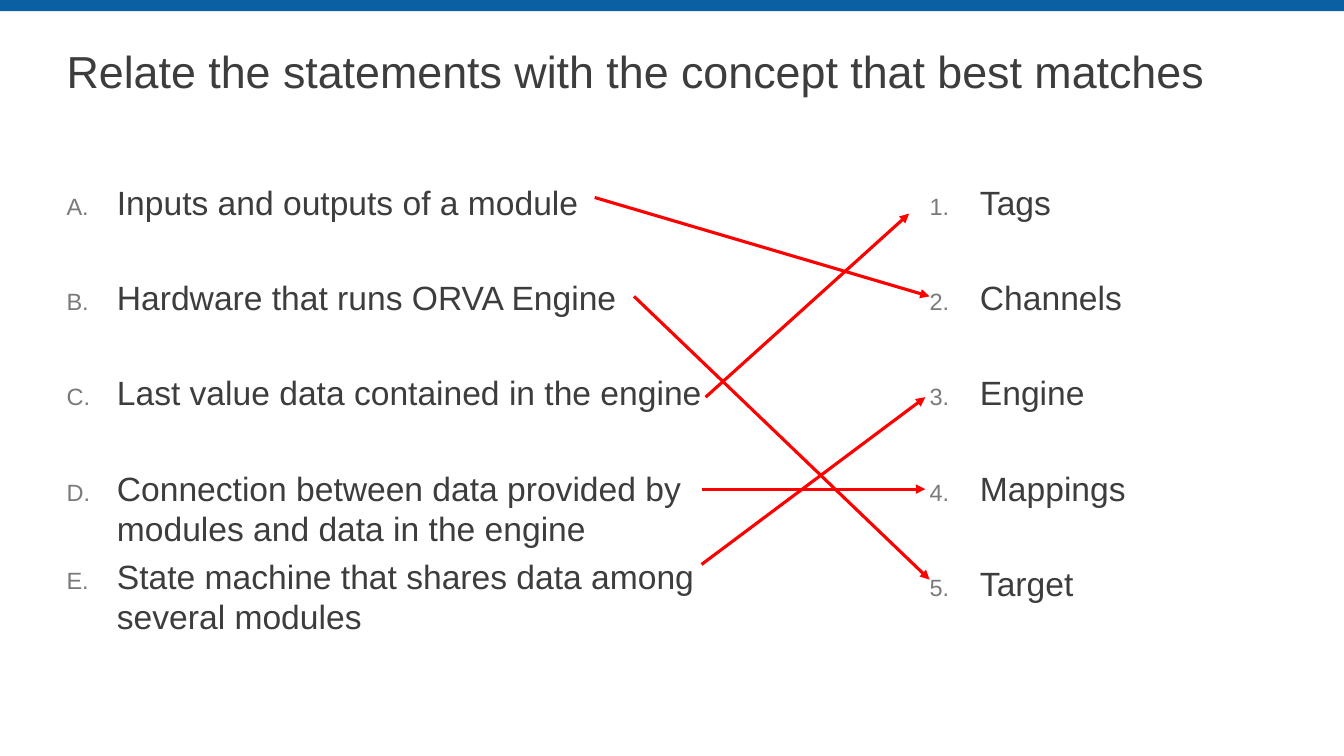
from dataclasses import dataclass

import pptx
import pptx.dml.color
import pptx.enum.shapes
import pptx.enum.text
import pptx.oxml.ns
import pptx.presentation
import pptx.slide
import pptx.text.text
import pptx.util
from lxml import etree

Pt = pptx.util.Pt
RGB = pptx.dml.color.RGBColor
Anchor = pptx.enum.text.MSO_ANCHOR


@dataclass(frozen=True)
class Theme:
    font: str = "Arial"
    ink: RGB = RGB(0x3D, 0x3D, 0x3D)
    mark: RGB = RGB(0x7A, 0x7A, 0x7A)
    bar: RGB = RGB(0x0A, 0x60, 0xA3)
    arrow: RGB = RGB(0xFF, 0x00, 0x00)
    title: float = 32
    body: float = 24
    tight: float = 5.3
    loose: float = 39.3
    leading: float = 1.0


@dataclass(frozen=True)
class Box:
    left: float
    top: float
    width: float
    height: float


@dataclass(frozen=True)
class Item:
    text: str
    gap: float


@dataclass(frozen=True)
class Column:
    slot: int
    box: Box
    scheme: str
    items: list[Item]


@dataclass(frozen=True)
class Arrow:
    x1: float
    y1: float
    x2: float
    y2: float


THEME = Theme()
TITLE = "Relate the statements with the concept that best matches"
COLUMNS = [
    Column(1, Box(47.5, 126, 456.5, 385.2), "alphaUcPeriod", [
        Item("Inputs and outputs of a module", THEME.tight),
        Item("Hardware that runs ORVA Engine", THEME.loose),
        Item("Last value data contained in the engine", THEME.loose),
        Item("Connection between data provided by modules and data in the engine",
             THEME.loose),
        Item("State machine that shares data among several modules", THEME.tight),
    ]),
    Column(2, Box(664, 126, 225.4, 385.2), "arabicPeriod", [
        Item("Tags", THEME.tight),
        Item("Channels", THEME.loose),
        Item("Engine", THEME.loose),
        Item("Mappings", THEME.loose),
        Item("Target", THEME.loose),
    ]),
]
ARROWS = [
    Arrow(424.8, 141.1, 664, 211.7),
    Arrow(452.9, 211.7, 664, 414),
    Arrow(504, 283.7, 649.4, 152.6),
    Arrow(501.1, 349.4, 661, 349.4),
    Arrow(501.1, 403.2, 661, 283.7),
]


def child(parent: etree._Element, tag: str, **attrs: str) -> etree._Element:
    """Append a DrawingML element."""
    return etree.SubElement(parent, pptx.oxml.ns.qn(f"a:{tag}"), attrs)


def frame(shape, box: Box, anchor: Anchor) -> pptx.text.text.TextFrame:
    """Place a placeholder and return its text frame, ready to fill."""
    shape.left, shape.top = Pt(box.left), Pt(box.top)
    shape.width, shape.height = Pt(box.width), Pt(box.height)
    text = shape.text_frame
    text.auto_size = pptx.enum.text.MSO_AUTO_SIZE.NONE
    text.word_wrap = True
    text.vertical_anchor = anchor
    text.margin_left = text.margin_right = Pt(0)
    text.margin_top = text.margin_bottom = Pt(3.6)
    return text


def style(line: pptx.text.text._Paragraph, size: float) -> None:
    line.alignment = pptx.enum.text.PP_ALIGN.LEFT
    line.font.name = THEME.font
    line.font.size = Pt(size)
    line.font.color.rgb = THEME.ink


def number(line: pptx.text.text._Paragraph, scheme: str) -> None:
    """Give a paragraph a hanging automatic number."""
    props = line._p.get_or_add_pPr()
    props.set("marL", str(Pt(36)))
    props.set("indent", str(-Pt(36)))
    child(child(props, "buClr"), "srgbClr", val=str(THEME.mark))
    child(props, "buSzPct", val="70000")
    child(props, "buFont", typeface=THEME.font)
    child(props, "buAutoNum", type=scheme)


def add_title(slide: pptx.slide.Slide) -> None:
    text = frame(slide.shapes.title, Box(47.5, 28.8, 864, 48.2), Anchor.MIDDLE)
    text.text = TITLE
    line = text.paragraphs[0]
    line.line_spacing = 0.9
    style(line, THEME.title)


def add_list(slide: pptx.slide.Slide, column: Column) -> None:
    text = frame(slide.placeholders[column.slot], column.box, Anchor.TOP)
    text.text = "\n".join(item.text for item in column.items)
    for line, item in zip(text.paragraphs, column.items):
        line.line_spacing = THEME.leading
        line.space_before = Pt(item.gap)
        number(line, column.scheme)
        style(line, THEME.body)


def add_bar(slide: pptx.slide.Slide, width: int) -> None:
    bar = slide.shapes.add_shape(
        pptx.enum.shapes.MSO_SHAPE.RECTANGLE, Pt(0), Pt(0), width, Pt(7.9))
    bar.shadow.inherit = False
    bar.fill.solid()
    bar.fill.fore_color.rgb = THEME.bar
    bar.line.fill.background()


def add_arrow(slide: pptx.slide.Slide, arrow: Arrow) -> None:
    link = slide.shapes.add_connector(
        pptx.enum.shapes.MSO_CONNECTOR.STRAIGHT,
        Pt(arrow.x1), Pt(arrow.y1), Pt(arrow.x2), Pt(arrow.y2))
    link.line.color.rgb = THEME.arrow
    link.line.width = Pt(2.25)
    child(link.line._get_or_add_ln(), "tailEnd", type="triangle")
    child(link._element.spPr, "effectLst")


def main() -> None:
    deck = pptx.Presentation()
    deck.slide_width, deck.slide_height = Pt(960), Pt(540)
    slide = deck.slides.add_slide(deck.slide_layouts.get_by_name("Two Content"))
    add_bar(slide, deck.slide_width)
    add_title(slide)
    for column in COLUMNS:
        add_list(slide, column)
    for arrow in ARROWS:
        add_arrow(slide, arrow)
    deck.save("out.pptx")


if __name__ == "__main__":
    main()
